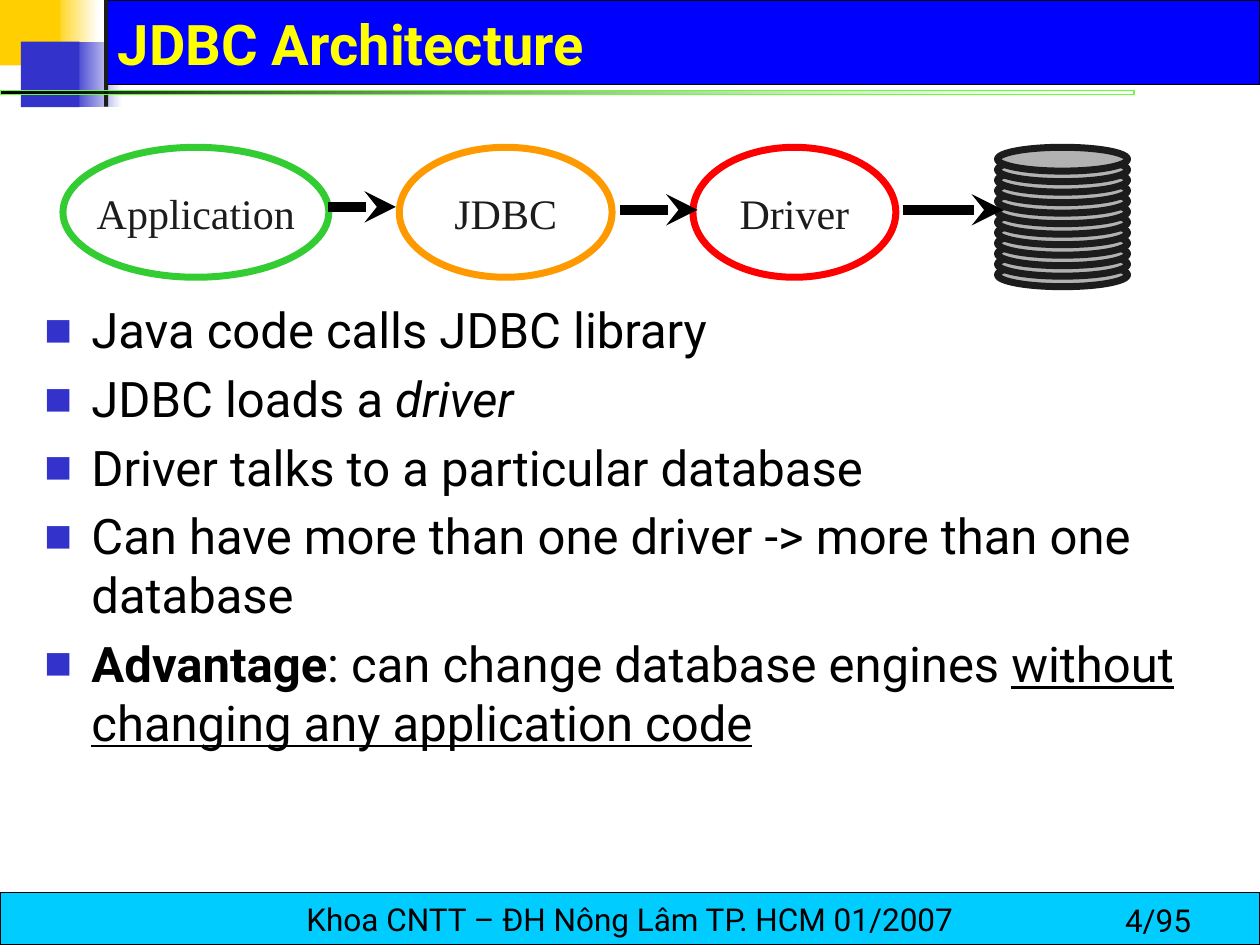
import pptx
import pptx.dml.color
import pptx.enum.shapes
import pptx.enum.text
import pptx.oxml
import pptx.oxml.ns
import pptx.util
import lxml.etree

Cm, Pt = pptx.util.Cm, pptx.util.Pt
RGB = pptx.dml.color.RGBColor.from_string
MSO = pptx.enum.shapes.MSO_SHAPE
ALIGN = pptx.enum.text.PP_ALIGN
ANCHOR = pptx.enum.text.MSO_ANCHOR
qn = pptx.oxml.ns.qn

theme = {
    "gold": "FFCF01", "indigo": "3333CC", "blue": "0000FF", "white": "FFFFFF",
    "black": "000000", "ink": "1C1C1C", "lime": "66FF33", "cyan": "00CCFF",
    "yellow": "FFFF00", "green": "33CC33", "orange": "FF9900", "red": "FF0000",
    "grey": "B2B2B2", "sans": "Roboto", "serif": "Times New Roman",
    "title": 32, "body": 28, "node": 24, "footer": 18,
}


def add_shape(shapes, kind, box, fill, line=None, width=0.75):
    sp = shapes.add_shape(kind, *map(Cm, box))
    sp.shadow.inherit = False
    if isinstance(fill, tuple):
        sp.fill.gradient()
        sp.fill.gradient_angle = 0
        for stop, color, position in zip(sp.fill.gradient_stops, fill, (0, 1)):
            stop.color.rgb = RGB(theme[color])
            stop.position = position
    else:
        sp.fill.solid()
        sp.fill.fore_color.rgb = RGB(theme[fill])
    if line:
        sp.line.color.rgb = RGB(theme[line])
        sp.line.width = Pt(width)
    else:
        sp.line.fill.background()
    return sp


def add_run(p, text, size, color, face="sans", **formats):
    r = p.add_run()
    r.text = text
    values = {"name": theme[face], "size": Pt(theme[size]), **formats}
    for name, value in values.items():
        setattr(r.font, name, value)
    r.font.color.rgb = RGB(theme[color])


prs = pptx.Presentation()
prs.slide_width, prs.slide_height = Cm(25.4), Cm(19.05)
s = prs.slides.add_slide(prs.slide_layouts[1])
title, body = s.placeholders

for box, fill, line, width in [
    ((1.07, 0, 0.91, 1.32), ("gold", "white"), None, 0),
    ((1.45, 0.84, 1.02, 1.32), ("indigo", "white"), None, 0),
    ((2.12, 0, 23.28, 1.7), "blue", "black", 0.75),
    ((0, 0, 1.22, 1.32), "gold", None, 0),
    ((0.42, 0.84, 1.18, 1.32), "indigo", None, 0),
    ((2.1, 0, 0.08, 2.15), "ink", None, 0),
    ((0, 1.82, 22.86, 0.08), ("black", "lime"), "lime", 0),
    ((0, 17.99, 25.4, 1.06), "cyan", "black", 0.75),
]:
    sp = add_shape(s.shapes, MSO.RECTANGLE, box, fill, line, width)
    if fill == ("black", "lime"):
        end_color = sp._element.spPr.findall(".//" + qn("a:gs"))[-1][0]
        lxml.etree.SubElement(end_color, qn("a:alpha"), val="0")

footer = sp.text_frame
footer.word_wrap = False
footer.vertical_anchor = ANCHOR.MIDDLE
p = footer.paragraphs[0]
p.alignment = ALIGN.CENTER
add_run(p, "Khoa CNTT – ĐH Nông Lâm TP. HCM 01/2007", "footer", "black")

page = s.shapes.add_textbox(Cm(22.43), Cm(18.03), Cm(2.97), Cm(1.02))
page.text_frame.word_wrap = True
add_run(page.text_frame.paragraphs[0], "4/95", "footer", "black")

for sp, box, anchor in [
    (title, (2.12, 0.2, 22.7, 1.48), ANCHOR.BOTTOM),
    (body, (0.64, 5.92, 24.76, 11.22), ANCHOR.TOP),
]:
    sp.left, sp.top, sp.width, sp.height = map(Cm, box)
    tf = sp.text_frame
    tf.auto_size = pptx.enum.text.MSO_AUTO_SIZE.NONE
    tf.word_wrap = True
    tf.vertical_anchor = anchor
    s.shapes._spTree.append(sp._element)

p = title.text_frame.paragraphs[0]
p.alignment = ALIGN.LEFT
add_run(p, "JDBC Architecture", "title", "yellow", bold=True)

for label, left, width, color in [
    ("Application", 1.27, 5.36, "green"),
    ("JDBC", 8.05, 4.29, "orange"),
    ("Driver", 13.97, 4.09, "red"),
]:
    sp = add_shape(s.shapes, MSO.OVAL, (left, 2.97, width, 2.62), "white", color, 4)
    tf = sp.text_frame
    tf.word_wrap = False
    tf.vertical_anchor = ANCHOR.MIDDLE
    p = tf.paragraphs[0]
    p.alignment = ALIGN.CENTER
    add_run(p, label, "node", "ink", "serif")

database = s.shapes.add_group_shape()
for i in reversed(range(12)):
    disk = (20.11, 2.97 + i * 2.33 / 11, 2.62, 0.48)
    add_shape(database.shapes, MSO.OVAL, disk, "grey", "ink", 4)

for start, end, y in [(6.61, 7.98, 4.17), (12.5, 14.06, 4.23), (18.2, 20.22, 4.23)]:
    arrow = s.shapes.add_connector(
        pptx.enum.shapes.MSO_CONNECTOR.STRAIGHT, Cm(start), Cm(y), Cm(end), Cm(y))
    arrow.line.color.rgb = RGB(theme["black"])
    arrow.line.width = Pt(6)
    lxml.etree.SubElement(arrow.line._get_or_add_ln(), qn("a:tailEnd"), type="stealth")
    lxml.etree.SubElement(arrow._element.spPr, qn("a:effectLst"))

bullets = [
    [("Java code calls JDBC library", {})],
    [("JDBC loads a ", {}), ("driver", {"italic": True})],
    [("Driver talks to a particular database", {})],
    [("Can have more than one driver -> more than one database", {})],
    [("Advantage", {"bold": True}), (": can change database engines ", {}),
     ("without changing any application code", {"underline": True})],
]
tf = body.text_frame
for i, runs in enumerate(bullets):
    p = tf.add_paragraph() if i else tf.paragraphs[0]
    p.space_before = Pt(5.6)
    pPr = p._p.get_or_add_pPr()
    pPr.set("marL", str(Cm(0.95)))
    pPr.set("indent", str(-Cm(0.95)))
    bullet_color = lxml.etree.SubElement(pPr, qn("a:buClr"))
    lxml.etree.SubElement(bullet_color, qn("a:srgbClr"), val=theme["indigo"])
    lxml.etree.SubElement(pPr, qn("a:buSzPct"), val="60000")
    lxml.etree.SubElement(pPr, qn("a:buFont"), typeface=theme["sans"])
    lxml.etree.SubElement(pPr, qn("a:buChar"), char="■")
    for text, formats in runs:
        add_run(p, text, "body", "black", **formats)

prs.save("out.pptx")
